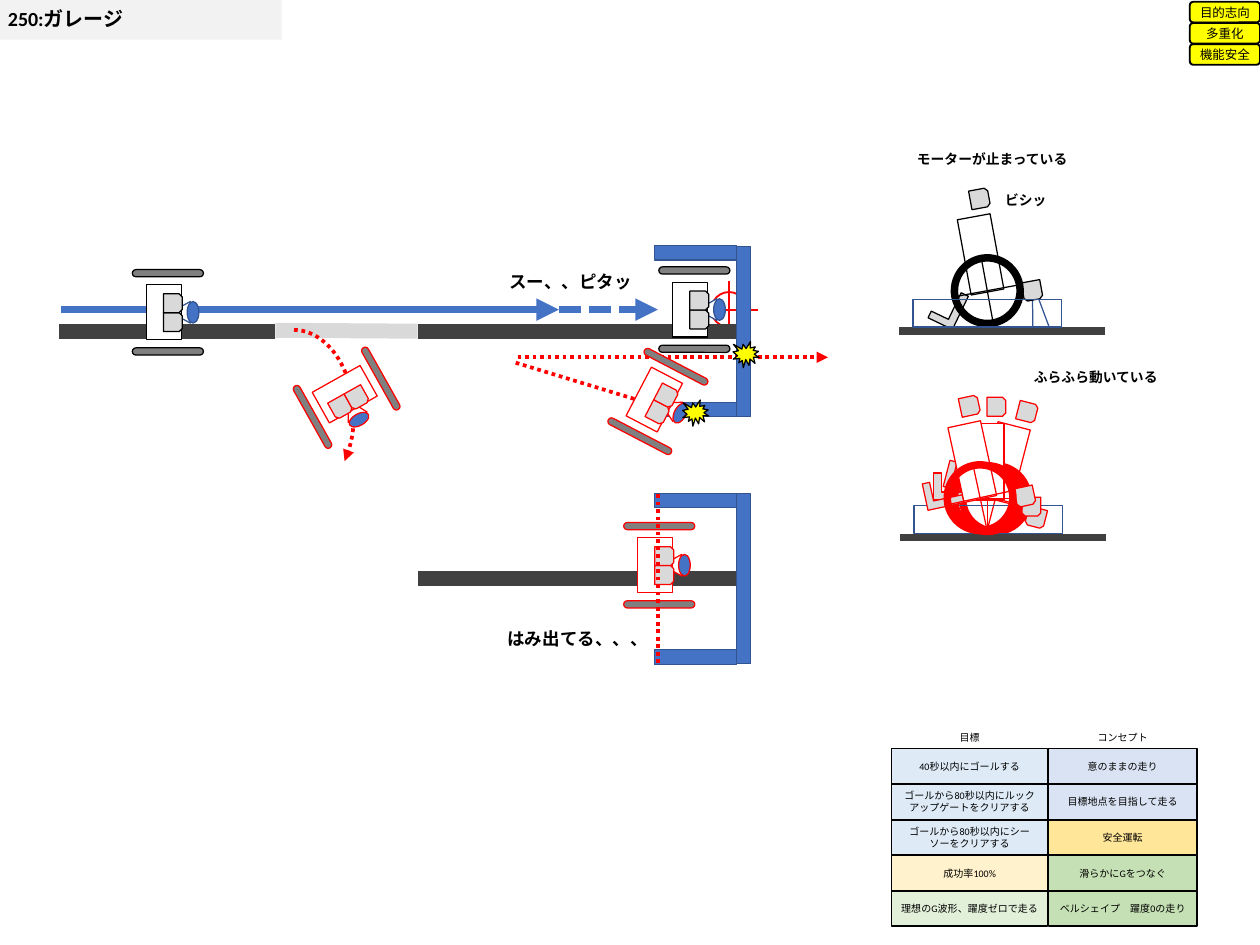
from math import cos, radians, sin

from lxml import etree
from pptx import Presentation
from pptx.dml.color import RGBColor
from pptx.enum import dml, shapes, text
from pptx.oxml.ns import qn
from pptx.util import Inches, Pt

KIND = shapes.MSO_SHAPE
DOTS, DASHES = dml.MSO_LINE.ROUND_DOT, dml.MSO_LINE.SQUARE_DOT
BLACK, RED, WHITE, YELLOW = "000000", "FF0000", "FFFFFF", "FFFF00"
BLUE, NAVY, DARK, GREY, LIGHT = "4472C4", "325491", "404040", "808080", "D9D9D9"
color = RGBColor.from_string

deck = Presentation()
deck.slide_width, deck.slide_height = Inches(14), Inches(10.5)
slide = deck.slides.add_slide(deck.slide_layouts[6])
page = slide.shapes


def draw(canvas, kind, x, y, w, h, fill, edge, width=1, turn=0, adjust=(), flip=False):
    item = canvas.add_shape(kind, Inches(x - w / 2), Inches(y - h / 2), Inches(w), Inches(h))
    item.shadow.inherit = False
    item.rotation = turn % 360
    for index, value in enumerate(adjust):
        item.adjustments[index] = value
    if flip:
        item.element.spPr.find(qn("a:xfrm")).set("flipV", "1")
    if fill:
        item.fill.solid()
        item.fill.fore_color.rgb = color(fill)
    else:
        item.fill.background()
    if edge:
        item.line.color.rgb = color(edge)
        item.line.width = Pt(width)
    else:
        item.line.fill.background()
    return item


def connect(canvas, x1, y1, x2, y2, ink, width, dash=None, arrow=False):
    item = canvas.add_connector(shapes.MSO_CONNECTOR.STRAIGHT,
                                Inches(x1), Inches(y1), Inches(x2), Inches(y2))
    item.line.color.rgb = color(ink)
    item.line.width = Pt(width)
    if dash:
        item.line.dash_style = dash
    properties = item.element.spPr
    if arrow:
        etree.SubElement(properties.find(qn("a:ln")), qn("a:tailEnd"), type="triangle")
    etree.SubElement(properties, qn("a:effectLst"))


FOOT = (-0.39, -0.135, 0)
LOWERED_FOOT = (-0.46, 0.1, -54)
side_robots = [
    (11.06, 5.54, 14.5, RED, FOOT, (10, 5.97)),
    (10.97, 3.23, -10.4, BLACK, LOWERED_FOOT, (9.99, 3.68)),
    (10.97, 5.54, 0, RED, FOOT, None),
    (10.89, 5.53, -12.2, RED, FOOT, None),
]
for x, y, tilt, ink, (foot_x, foot_y, foot_turn), floor in side_robots:
    robot = page.add_group_shape().shapes
    c, s = cos(radians(tilt)), sin(radians(tilt))
    parts = [
        (KIND.SNIP_2_SAME_RECTANGLE, 0.49, 0.09, 0.21, 0.21, LIGHT, 1, 0, (), True),
        (KIND.CORNER, foot_x, foot_y, 0.41, 0.3, LIGHT, 1, foot_turn, (0.294, 0.276), False),
        (KIND.RECTANGLE, 0, -0.41, 0.37, 0.85, WHITE, 1, 0, (), False),
        (KIND.OVAL, 0, 0, 0.73, 0.73, None, 6, 0, (), False),
        (KIND.SNIP_2_SAME_RECTANGLE, 0.1, -1.02, 0.21, 0.21, LIGHT, 1, 270, (), True),
    ]
    if ink == BLACK:
        draw(robot, KIND.ISOSCELES_TRIANGLE, 11.52, 3.4, 0.19, 0.54, WHITE, NAVY, 1, tilt)
    for kind, dx, dy, w, h, fill, width, turn, adjust, flip in parts:
        draw(robot, kind, x + dx * c - dy * s, y + dx * s + dy * c, w, h,
             fill, ink, width, turn + tilt, adjust, flip)
    for dx, dy in [(0.36 * c, 0.36 * s), (0.36 * s, -0.36 * c)]:
        connect(robot, x - dx, y - dy, x + dx, y + dy, ink, 1)
    if floor:
        left, level = floor
        connect(page, left + 2.29, level, left, level, DARK, 6)
        draw(page, KIND.RECTANGLE, left + 0.98, level - 0.2, 1.65, 0.31, None, NAVY)

connect(page, 3.06, 3.68, 0.65, 3.68, DARK, 12)
connect(page, 4.64, 3.68, 3.06, 3.67, LIGHT, 12)
connect(page, 0.68, 3.44, 6.21, 3.44, BLUE, 6, arrow=True)
connect(page, 6.21, 3.44, 7.31, 3.44, BLUE, 6, DASHES, True)

target = page.add_group_shape().shapes
draw(target, KIND.OVAL, 8.1, 3.44, 0.39, 0.39, None, RED, 1.5)
connect(target, 7.79, 3.44, 8.42, 3.44, RED, 1.5)
connect(target, 8.1, 3.12, 8.1, 3.75, RED, 1.5)

for middle in (3.68, 6.43):
    garage = page.add_group_shape().shapes
    connect(garage, 8.3, middle, 4.64, middle, DARK, 12)
    for dy in (-0.87, 0.87):
        draw(garage, KIND.RECTANGLE, 7.73, middle + dy, 0.91, 0.16, BLUE, NAVY)
    draw(garage, KIND.RECTANGLE, 8.26, middle, 1.89, 0.16, BLUE, NAVY, 1, 270)

swerve = draw(page, KIND.ARC, 3.26, 4.62, 1.34, 1.91, None, RED, 3, 0, (162.253, 24.91))
swerve.line.dash_style = DOTS
etree.SubElement(swerve.element.spPr.find(qn("a:ln")), qn("a:tailEnd"), type="triangle")
connect(page, 5.75, 3.97, 9.2, 3.97, RED, 3, DOTS, True)
connect(page, 5.73, 4.03, 7.66, 4.62, RED, 3, DOTS, True)

top_parts = [
    (KIND.ISOSCELES_TRIANGLE, 0.185, 0, 0.24, 0.22, WHITE, 270, (), False),
    (KIND.OVAL, 0.325, 0, 0.24, 0.13, BLUE, 270, (), False),
    (KIND.RECTANGLE, 0, 0, 0.61, 0.39, WHITE, 90, (), False),
    (KIND.ROUNDED_RECTANGLE, 0.045, 0.435, 0.08, 0.79, GREY, 270, (0.5,), False),
    (KIND.ROUNDED_RECTANGLE, 0.045, -0.435, 0.08, 0.79, GREY, 270, (0.5,), False),
    (KIND.SNIP_2_SAME_RECTANGLE, 0.1, 0.11, 0.21, 0.21, LIGHT, 270, (), True),
    (KIND.SNIP_2_SAME_RECTANGLE, 0.1, -0.1, 0.21, 0.21, LIGHT, 270, (), True),
]
top_robots = [
    (1.82, 3.47, 0, BLACK, NAVY),
    (3.83, 4.38, 60.7, RED, RED),
    (7.27, 4.44, 27.5, RED, RED),
    (7.67, 3.44, 0, BLACK, NAVY),
    (7.28, 6.28, 0, RED, RED),
]
for x, y, heading, ink, nose_ink in top_robots:
    robot = page.add_group_shape().shapes
    c, s = cos(radians(heading)), sin(radians(heading))
    for index, (kind, dx, dy, w, h, fill, turn, adjust, flip) in enumerate(top_parts):
        draw(robot, kind, x + dx * c - dy * s, y + dx * s + dy * c, w, h, fill,
             nose_ink if index < 2 else ink, 1, turn + heading, adjust, flip)

for x, y in [(8.29, 3.94), (7.73, 4.59)]:
    draw(page, KIND.EXPLOSION1, x, y, 0.29, 0.29, YELLOW, BLACK)
connect(page, 7.31, 5.49, 7.31, 7.38, RED, 3, DOTS)

LEFT, CENTER = text.PP_ALIGN.LEFT, text.PP_ALIGN.CENTER
TOP, MIDDLE = text.MSO_ANCHOR.TOP, text.MSO_ANCHOR.MIDDLE
captions = [
    (page, None, x, y, w, 0.29, None, None, 0, LEFT, TOP, size, True, words)
    for x, y, w, size, words in [
        (5.56, 2.96, 1.72, 14, "スー、、ピタッ"),
        (5.54, 6.93, 1.72, 14, "はみ出てる、、、"),
        (10.09, 1.63, 2.27, 11, "モーターが止まっている"),
        (11.39, 4.05, 1.67, 11, "ふらふら動いている"),
        (11.07, 2.08, 1.67, 11, "ビシッ"),
    ]
]
captions.append((page, KIND.RECTANGLE, -0.01, -0.03, 3.14, 0.47, "F2F2F2", None, 0,
                 LEFT, MIDDLE, 16, True, "250:ガレージ"))

goals = page.add_group_shape().shapes
columns = [
    (9.91, 1.73, "目標", [
        ("40秒以内にゴールする", "DEEBF7"),
        ("ゴールから80秒以内にルックアップゲートをクリアする", "DEEBF7"),
        ("ゴールから80秒以内にシーソーをクリアする", "DEEBF7"),
        ("成功率100%", "FFF2CC"),
        ("理想のG波形、躍度ゼロで走る", "E2F0D9"),
    ]),
    (11.65, 1.65, "コンセプト", [
        ("意のままの走り", "DAE3F3"),
        ("目標地点を目指して走る", "DAE3F3"),
        ("安全運転", "FFE699"),
        ("滑らかにGをつなぐ", "C5E0B4"),
        ("ベルシェイプ　躍度0の走り", "C5E0B4"),
    ]),
]
for x, w, heading, cells in columns:
    captions.append((goals, None, x, 8.08, w, 0.24, None, None, 0,
                     CENTER, MIDDLE, 8, False, heading))
    for row, (words, fill) in enumerate(cells):
        captions.append((goals, KIND.RECTANGLE, x, 8.32 + row * 0.395, w, 0.39, fill, BLACK, 1,
                         CENTER, MIDDLE, 8, False, words))

tags = page.add_group_shape().shapes
for row, words in enumerate(["目的志向", "多重化", "機能安全"]):
    captions.append((tags, KIND.ROUNDED_RECTANGLE, 13.22, 0.02 + row * 0.235, 0.78, 0.23,
                     YELLOW, BLACK, 1.5, CENTER, MIDDLE, 10, False, words))

for canvas, kind, x, y, w, h, fill, edge, width, align, anchor, size, bold, words in captions:
    if kind is None:
        caption = canvas.add_textbox(Inches(x), Inches(y), Inches(w), Inches(h))
    else:
        caption = draw(canvas, kind, x + w / 2, y + h / 2, w, h, fill, edge, width)
    frame = caption.text_frame
    frame.word_wrap = True
    frame.vertical_anchor = anchor
    paragraph = frame.paragraphs[0]
    paragraph.text = words
    paragraph.alignment = align
    paragraph.font.name = "Calibri"
    paragraph.font.size = Pt(size)
    paragraph.font.bold = bold
    paragraph.font.color.rgb = color(BLACK)

deck.save("out.pptx")
